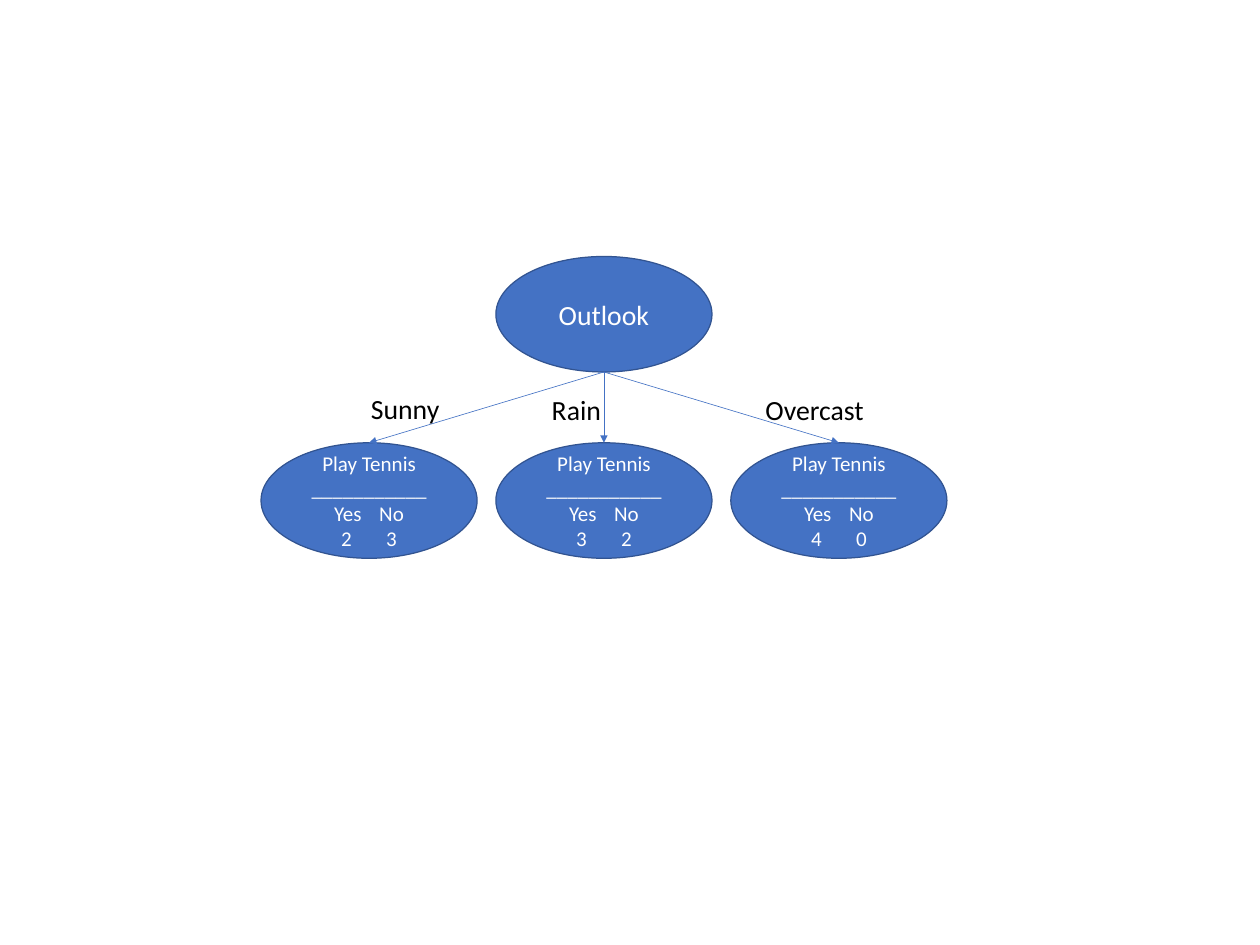
from lxml import etree
from pptx import Presentation
from pptx.dml.color import RGBColor
from pptx.enum.shapes import MSO_CONNECTOR as Connector, MSO_SHAPE as Shape
from pptx.enum.text import MSO_ANCHOR as Anchor, MSO_AUTO_SIZE as AutoSize, PP_ALIGN as Align
from pptx.oxml.ns import qn
from pptx.util import Inches, Pt

COLORS = {"node": "4472C4", "outline": "325491", "light": "FFFFFF", "dark": "000000"}
LEFT, TOP = 2.9, 2.85
COLUMN, ROW = 2.61, 2.07
NODE_W, NODE_H = 0.92, 0.62
LARGE, SMALL = 22.2, 16.8

BRANCHES = [
    ("Sunny", 2, 3, (0.43, 0.7, 0.37)),
    ("Rain", 3, 2, (1.2, 0.71, 0.37)),
    ("Overcast", 4, 0, (2.11, 0.71, 0.53)),
]


def rgb(name):
    return RGBColor.from_string(COLORS[name])


def write(tf, lines, size, color, align=Align.LEFT, font="Calibri"):
    for i, line in enumerate(lines):
        p = tf.paragraphs[0] if i == 0 else tf.add_paragraph()
        p.alignment = align
        r = p.add_run()
        r.text = line
        r.font.name = font
        r.font.size = Pt(size)
        r.font.color.rgb = rgb(color)


class TreeSlide:
    def __init__(self, s):
        self.s = s

    def box(self, col, row, width, height):
        return (Inches(LEFT + col * COLUMN), Inches(TOP + row * ROW),
                Inches(width * COLUMN), Inches(height * ROW))

    def node(self, col, row, lines, size):
        sp = self.s.shapes.add_shape(Shape.OVAL, *self.box(col, row, NODE_W, NODE_H))
        sp.shadow.inherit = False
        sp.fill.solid()
        sp.fill.fore_color.rgb = rgb("node")
        sp.line.color.rgb = rgb("outline")
        sp.line.width = Pt(1)
        tf = sp.text_frame
        tf.word_wrap = True
        tf.vertical_anchor = Anchor.MIDDLE
        write(tf, lines, size, "light", Align.CENTER)
        return sp

    def arrow(self, parent, child):
        cx = self.s.shapes.add_connector(
            Connector.STRAIGHT,
            parent.left + parent.width // 2, parent.top + parent.height,
            child.left + child.width // 2, child.top)
        cx.end_connect(child, 0)
        cx.line.color.rgb = rgb("node")
        cx.line.width = Pt(0.5)
        etree.SubElement(cx.line._get_or_add_ln(), qn("a:tailEnd"), type="triangle")
        etree.SubElement(cx._element.spPr, qn("a:effectLst"))

    def label(self, col, row, width, text):
        tf = self.s.shapes.add_textbox(*self.box(col, row, width, 0.23)).text_frame
        tf.word_wrap = True
        tf.auto_size = AutoSize.SHAPE_TO_FIT_TEXT
        write(tf, [text], LARGE, "dark")


def main():
    prs = Presentation()
    prs.slide_width, prs.slide_height = Inches(14), Inches(10.5)
    tree = TreeSlide(prs.slides.add_slide(prs.slide_layouts[6]))
    root = tree.node(1, 0, ["Outlook"], LARGE)
    for col, (outlook, yes, no, place) in enumerate(BRANCHES):
        lines = ["Play Tennis", "_" * 11, "Yes\tNo", f"{yes}\t{no}"]
        leaf = tree.node(col, 1, lines, SMALL)
        tree.arrow(root, leaf)
        tree.label(*place, outlook)
    prs.save("out.pptx")


if __name__ == "__main__":
    main()
